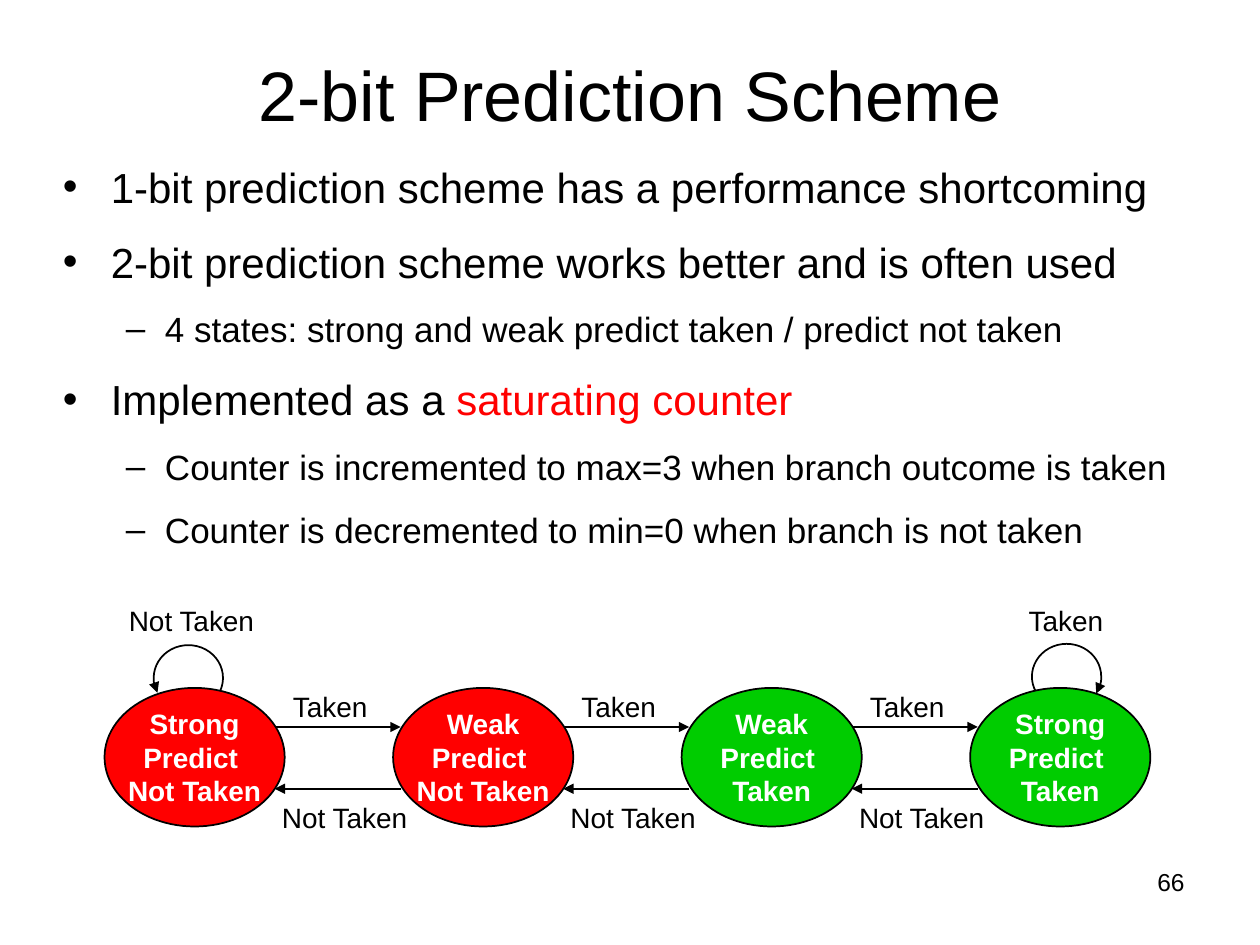
"""Build the slide that explains the 2-bit branch prediction scheme."""
from lxml import etree
from pptx import Presentation
from pptx.dml.color import RGBColor
from pptx.enum.shapes import MSO_CONNECTOR, MSO_SHAPE
from pptx.enum.text import MSO_ANCHOR, PP_ALIGN
from pptx.oxml.ns import qn
from pptx.util import Inches, Pt

COLORS = {"black": "000000", "white": "FFFFFF", "red": "FF0000", "green": "00CC00"}
FONT = "Arial"

TITLE = "2-bit Prediction Scheme"
PAGE_NUMBER = "66"
BULLETS = [
    (0, [("1-bit prediction scheme has a performance shortcoming", "black")]),
    (0, [("2-bit prediction scheme works better and is often used", "black")]),
    (1, [("4 states: strong and weak predict taken / predict not taken", "black")]),
    (0, [("Implemented as a ", "black"), ("saturating counter", "red")]),
    (1, [("Counter is incremented to max=3 when branch outcome is taken", "black")]),
    (1, [("Counter is decremented to min=0 when branch is not taken", "black")]),
]
LEVELS = [
    {"mark": "•", "size": 24, "before": 14, "margin": 0.38, "hang": 0.38},
    {"mark": "–", "size": 20, "before": 12, "margin": 0.81, "hang": 0.31},
]
STATES = [
    (["Strong", "Predict ", "Not Taken"], "red"),
    (["Weak", "Predict ", "Not Taken"], "red"),
    (["Weak", "Predict ", "Taken"], "green"),
    (["Strong", "Predict ", "Taken"], "green"),
]
LOOPS = [
    ("Not Taken", (0.93, 4.76, 1.18, 0.33), (1.22, 5.12), (154.36, 22.42), "headEnd"),
    ("Taken", (8.09, 4.76, 0.74, 0.32), (8.19, 5.11), (154.36, 29.74), "tailEnd"),
]

STATE_LEFT, STATE_TOP, STATE_PITCH = 0.83, 5.46, 2.29
STATE_WIDTH, STATE_HEIGHT = 1.43, 1.1
ARROW_OFFSET, ARROW_LENGTH = 1.35, 1
TAKEN_Y, NOT_TAKEN_Y = 5.77, 6.26
LOOP_WIDTH, LOOP_HEIGHT = 0.55, 0.52


def rgb(name):
    return RGBColor.from_string(COLORS[name])


def style_font(font, size, color="black", bold=False):
    font.name, font.size, font.bold = FONT, Pt(size), bold
    font.color.rgb = rgb(color)


def set_frame(frame, insets=(0, 0), anchor=MSO_ANCHOR.MIDDLE, wrap=True):
    frame.margin_left = frame.margin_right = Inches(insets[0])
    frame.margin_top = frame.margin_bottom = Inches(insets[1])
    frame.vertical_anchor, frame.word_wrap = anchor, wrap


def write_lines(frame, lines, size, color="black", align=PP_ALIGN.CENTER, bold=False):
    for index, line in enumerate(lines):
        paragraph = frame.paragraphs[0] if index == 0 else frame.add_paragraph()
        paragraph.text, paragraph.alignment = line, align
        style_font(paragraph.font, size, color, bold)


def add_label(slide, box, text, size=16, align=PP_ALIGN.CENTER, **layout):
    frame = slide.shapes.add_textbox(*map(Inches, box)).text_frame
    set_frame(frame, **layout)
    write_lines(frame, [text], size, align=align)


def outline(line, arrow_end=None):
    line.color.rgb, line.width = rgb("black"), Pt(1)
    if arrow_end:
        etree.SubElement(line._get_or_add_ln(), qn(f"a:{arrow_end}"), type="triangle")


def add_bullets(slide):
    frame = slide.shapes.add_textbox(*map(Inches, (0.5, 1.23, 9, 3.4))).text_frame
    set_frame(frame, (0, 0.05), MSO_ANCHOR.TOP)
    for index, (depth, runs) in enumerate(BULLETS):
        level = LEVELS[depth]
        paragraph = frame.paragraphs[0] if index == 0 else frame.add_paragraph()
        paragraph.level, paragraph.space_before = depth, Pt(level["before"])
        properties = paragraph._p.get_or_add_pPr()
        properties.set("marL", str(Inches(level["margin"])))
        properties.set("indent", str(-Inches(level["hang"])))
        etree.SubElement(properties, qn("a:buFont"), typeface=FONT)
        etree.SubElement(properties, qn("a:buChar"), char=level["mark"])
        for text, color in runs:
            run = paragraph.add_run()
            run.text = text
            style_font(run.font, level["size"], color)


def add_arrow(slide, start, end, y):
    arrow = slide.shapes.add_connector(
        MSO_CONNECTOR.STRAIGHT, Inches(start), Inches(y), Inches(end), Inches(y))
    outline(arrow.line, "tailEnd")
    etree.SubElement(arrow._element.spPr, qn("a:effectLst"))


def add_loop(slide, label, label_box, corner, angles, arrow_end):
    arc = slide.shapes.add_shape(
        MSO_SHAPE.ARC, *map(Inches, (*corner, LOOP_WIDTH, LOOP_HEIGHT)))
    for index, degrees in enumerate(angles):
        arc.adjustments[index] = degrees * 0.6
    arc.fill.background()
    outline(arc.line, arrow_end)
    arc.shadow.inherit = False
    add_label(slide, label_box, label)


def add_transitions(slide, left):
    start = left + ARROW_OFFSET
    end = start + ARROW_LENGTH
    add_arrow(slide, start, end, TAKEN_Y)
    add_arrow(slide, end, start, NOT_TAKEN_Y)
    add_label(slide, (left + 1.42, 5.46, 0.74, 0.29), "Taken")
    add_label(slide, (left + 1.29, 6.29, 1.23, 0.4), "Not Taken")


def add_state(slide, left, lines, color):
    state = slide.shapes.add_shape(
        MSO_SHAPE.OVAL, *map(Inches, (left, STATE_TOP, STATE_WIDTH, STATE_HEIGHT)))
    state.fill.solid()
    state.fill.fore_color.rgb = rgb(color)
    outline(state.line)
    state.shadow.inherit = False
    set_frame(state.text_frame, wrap=False)
    write_lines(state.text_frame, lines, 16, "white", bold=True)


def main():
    presentation = Presentation()
    presentation.slide_width, presentation.slide_height = Inches(10), Inches(7.5)
    slide = presentation.slides.add_slide(presentation.slide_layouts[6])
    add_bullets(slide)
    add_label(slide, (0.5, 0.12, 9, 1.25), TITLE, 40, insets=(0.1, 0.05))
    for loop in LOOPS:
        add_loop(slide, *loop)
    lefts = [STATE_LEFT + STATE_PITCH * index for index in range(len(STATES))]
    for left in lefts[:-1]:
        add_transitions(slide, left)
    for left, (lines, color) in zip(lefts, STATES):
        add_state(slide, left, lines, color)
    add_label(slide, (7.17, 6.83, 2.33, 0.52), PAGE_NUMBER, 14, PP_ALIGN.RIGHT,
              insets=(0.1, 0.05), anchor=MSO_ANCHOR.TOP)
    presentation.save("out.pptx")


if __name__ == "__main__":
    main()
